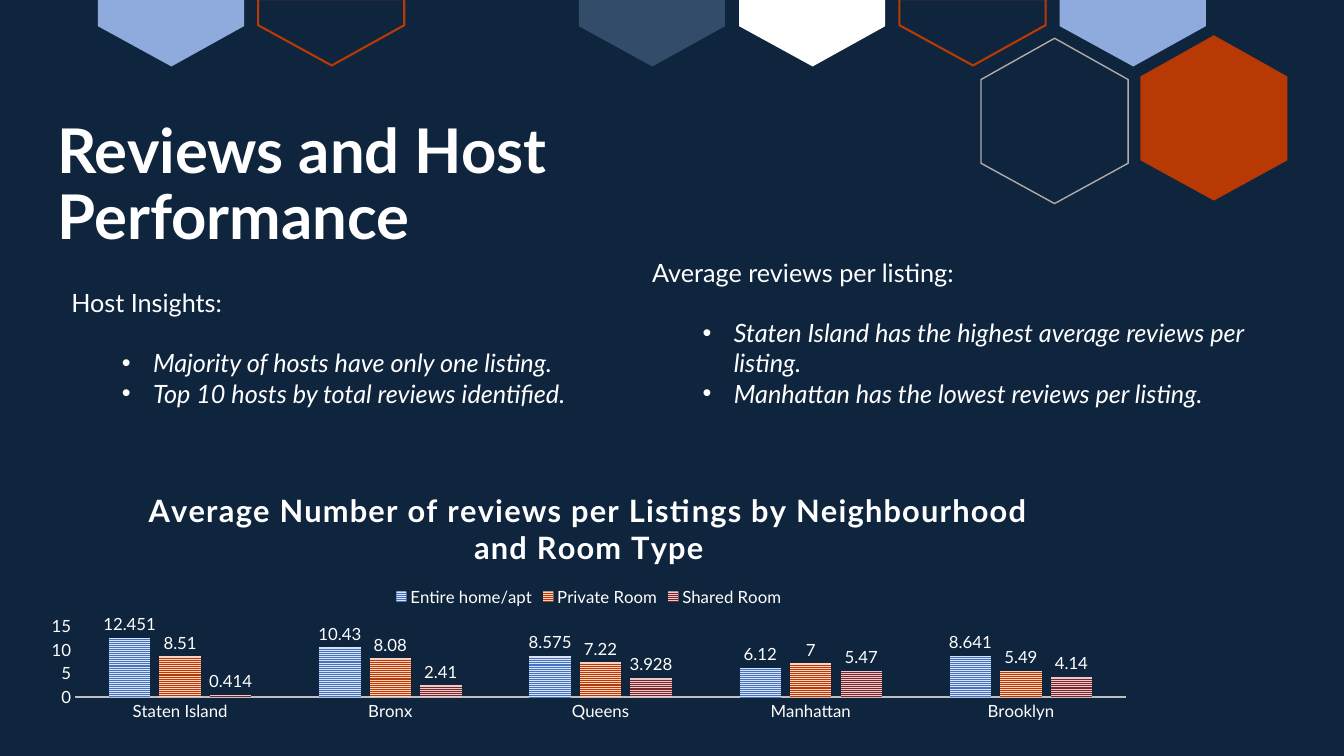
from dataclasses import dataclass

from lxml import etree
from pptx import Presentation
from pptx.chart.data import CategoryChartData
from pptx.dml.color import RGBColor
from pptx.enum.chart import XL_CHART_TYPE, XL_LABEL_POSITION, XL_LEGEND_POSITION, XL_TICK_MARK
from pptx.enum.dml import MSO_PATTERN
from pptx.enum.text import MSO_ANCHOR, MSO_AUTO_SIZE, PP_ALIGN
from pptx.oxml.ns import qn
from pptx.util import Inches, Pt

COLUMNS = XL_CHART_TYPE.COLUMN_CLUSTERED
OUTSIDE_END = XL_LABEL_POSITION.OUTSIDE_END
LEGEND_TOP = XL_LEGEND_POSITION.TOP
NO_TICKS = XL_TICK_MARK.NONE
STRIPES = MSO_PATTERN.NARROW_HORIZONTAL
BOTTOM = MSO_ANCHOR.BOTTOM
GROW = MSO_AUTO_SIZE.SHAPE_TO_FIT_TEXT
LEFT, CENTER = PP_ALIGN.LEFT, PP_ALIGN.CENTER
TITLE_ONLY = 5


@dataclass(frozen=True)
class Theme:
    font: str = "Lato"
    navy: str = "0F253E"
    slate: str = "334C6A"
    white: str = "FFFFFF"
    sky: str = "8FAADC"
    rust: str = "B83903"
    grey: str = "AFABAB"
    axis: str = "BFBFBF"
    stripes: tuple = (("4472C4", "DAE3F3"), ("B83903", "FED2BF"), ("75262A", "EEC9CB"))
    title_size: int = 44
    body_size: int = 18
    chart_title_size: int = 22
    chart_size: int = 12


def rgb(code):
    return RGBColor.from_string(code)


def style_font(font, theme, size, bold=False, italic=False):
    font.name = theme.font
    font.size = Pt(size)
    font.bold = bold
    font.italic = italic
    font.color.rgb = rgb(theme.white)


def write(paragraph, text, theme, size, align=LEFT, bold=False, italic=False,
          before=0, line_spacing=None, bullet=False, tracking=None):
    paragraph.alignment = align
    paragraph.space_before = Pt(before)
    paragraph.line_spacing = line_spacing
    run = paragraph.add_run()
    run.text = text
    style_font(run.font, theme, size, bold, italic)
    if tracking:
        run.font._element.set("spc", str(tracking))
    if bullet:
        paragraph.level = 1
        properties = paragraph._p.get_or_add_pPr()
        properties.set("marL", str(Inches(0.81)))
        properties.set("indent", str(Inches(-0.31)))
        etree.SubElement(properties, qn("a:buFont")).set("typeface", "Arial")
        etree.SubElement(properties, qn("a:buChar")).set("char", "•")


class SlideBuilder:
    def __init__(self, slide, theme):
        self.slide = slide
        self.theme = theme
        slide.background.fill.solid()
        slide.background.fill.fore_color.rgb = rgb(theme.navy)

    def outline(self, points, fill=None, line=None, width=1.0):
        corners = [(Inches(x), Inches(y)) for x, y in points]
        builder = self.slide.shapes.build_freeform(*corners[0])
        builder.add_line_segments(corners[1:], close=True)
        hexagon = builder.convert_to_shape()
        hexagon.shadow.inherit = False
        if fill:
            hexagon.fill.solid()
            hexagon.fill.fore_color.rgb = rgb(fill)
        else:
            hexagon.fill.background()
        if line:
            hexagon.line.color.rgb = rgb(line)
            hexagon.line.width = Pt(width)
        else:
            hexagon.line.fill.background()

    def full_hexagon(self, left, top, **paint):
        middle, right = left + 0.73, left + 1.46
        self.outline([(middle, top), (right, top + 0.41), (right, top + 1.24),
                      (middle, top + 1.64), (left, top + 1.24), (left, top + 0.41)], **paint)

    def cut_hexagon(self, left, top=0, **paint):
        right = left + 1.45
        self.outline([(left, top), (right, top), (right, top + 0.26),
                      (left + 0.73, top + 0.66), (left, top + 0.26)], **paint)

    def title(self, text, left, top, width, height):
        heading = self.slide.shapes.title
        heading.left, heading.top = Inches(left), Inches(top)
        heading.width, heading.height = Inches(width), Inches(height)
        frame = heading.text_frame
        frame.word_wrap = True
        frame.auto_size = MSO_AUTO_SIZE.NONE
        frame.vertical_anchor = BOTTOM
        write(frame.paragraphs[0], text, self.theme, self.theme.title_size,
              bold=True, line_spacing=0.9)

    def findings(self, heading, points, left, top, width, height):
        box = self.slide.shapes.add_textbox(
            Inches(left), Inches(top), Inches(width), Inches(height))
        frame = box.text_frame
        frame.word_wrap = True
        frame.auto_size = GROW
        size = self.theme.body_size
        write(frame.paragraphs[0], heading, self.theme, size)
        for index, point in enumerate(points):
            write(frame.add_paragraph(), point, self.theme, size, italic=True,
                  bullet=True, before=0 if index else 21.6)

    def column_chart(self, title, categories, series, left, top, width, height):
        theme = self.theme
        data = CategoryChartData()
        data.categories = categories
        for name, values in series.items():
            data.add_series(name, values)
        chart = self.slide.shapes.add_chart(
            COLUMNS, Inches(left), Inches(top), Inches(width), Inches(height), data).chart
        style_font(chart.font, theme, theme.chart_size)

        chart.has_title = True
        chart.chart_title.include_in_layout = False
        write(chart.chart_title.text_frame.paragraphs[0], title, theme,
              theme.chart_title_size, align=CENTER, bold=True, tracking=100)
        chart.has_legend = True
        chart.legend.position = LEGEND_TOP
        chart.legend.include_in_layout = False
        style_font(chart.legend.font, theme, theme.chart_size)

        for axis in (chart.category_axis, chart.value_axis):
            axis.has_major_gridlines = False
            axis.major_tick_mark = axis.minor_tick_mark = NO_TICKS
            style_font(axis.tick_labels.font, theme, theme.chart_size)
        chart.category_axis.format.line.color.rgb = rgb(theme.axis)
        chart.category_axis.format.line.width = Pt(1.5)
        chart.value_axis.format.line.fill.background()

        plot = chart.plots[0]
        plot.gap_width, plot.overlap = 164, -22
        plot.vary_by_categories = False
        for room_type, (dark, pale) in zip(plot.series, theme.stripes):
            fill = room_type.format.fill
            fill.patterned()
            fill.pattern = STRIPES
            fill.fore_color.rgb, fill.back_color.rgb = rgb(dark), rgb(pale)
            labels = room_type.data_labels
            labels.show_value = True
            labels.position = OUTSIDE_END
            style_font(labels.font, theme, theme.chart_size)


def main():
    theme = Theme()
    deck = Presentation()
    deck.slide_width, deck.slide_height = Inches(13.33), Inches(7.5)
    page = SlideBuilder(deck.slides.add_slide(deck.slide_layouts[TITLE_ONLY]), theme)

    page.full_hexagon(9.73, 0.38, line=theme.grey)
    rust_outline = {"top": -0.01, "line": theme.rust, "width": 1.5}
    top_row = {0: {"fill": theme.sky}, 1: rust_outline, 3: {"fill": theme.slate},
               4: {"fill": theme.white}, 5: rust_outline, 6: {"fill": theme.sky}}
    for column, paint in top_row.items():
        page.cut_hexagon(0.97 + 1.59 * column, **paint)
    page.full_hexagon(11.31, 0.35, fill=theme.rust)

    page.title("Reviews and Host Performance", 0.47, 1.02, 5.67, 1.54)
    page.findings("Average reviews per listing:",
                  ["Staten Island has the highest average reviews per listing.",
                   "Manhattan has the lowest reviews per listing."],
                  6.37, 2.5, 6.67, 1.62)
    page.findings("Host Insights:",
                  ["Majority of hosts have only one listing.",
                   "Top 10 hosts by total reviews identified."],
                  0.61, 2.8, 6.67, 1.31)
    page.column_chart(
        "Average Number of reviews per Listings by Neighbourhood and Room Type",
        ["Staten Island", "Bronx", "Queens", "Manhattan", "Brooklyn"],
        {"Entire home/apt": (12.451, 10.43, 8.575, 6.12, 8.641),
         "Private Room": (8.51, 8.08, 7.22, 7, 5.49),
         "Shared Room": (0.414, 2.41, 3.928, 5.47, 4.14)},
        0.29, 4.69, 11.1, 2.51)
    deck.save("out.pptx")


if __name__ == "__main__":
    main()
